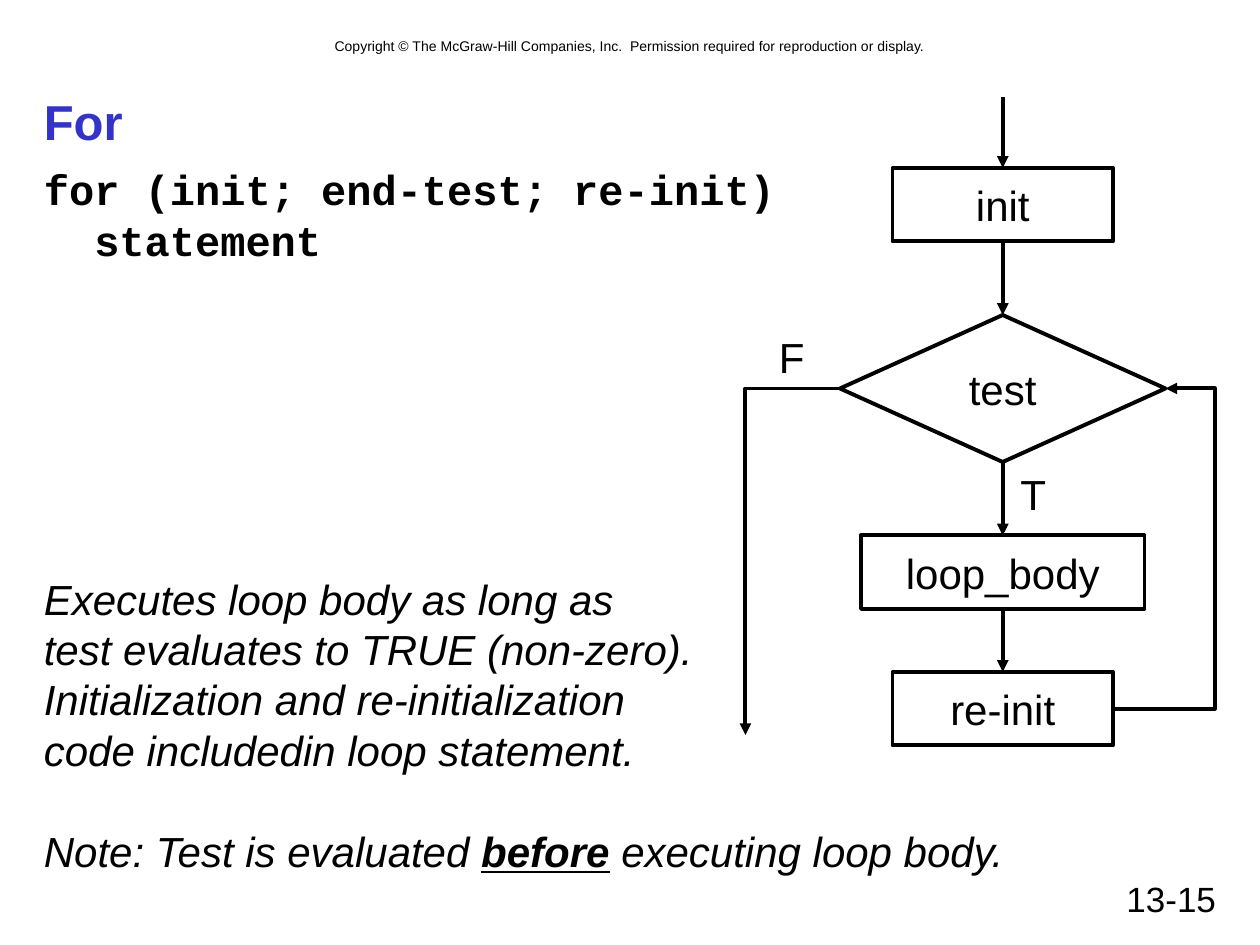
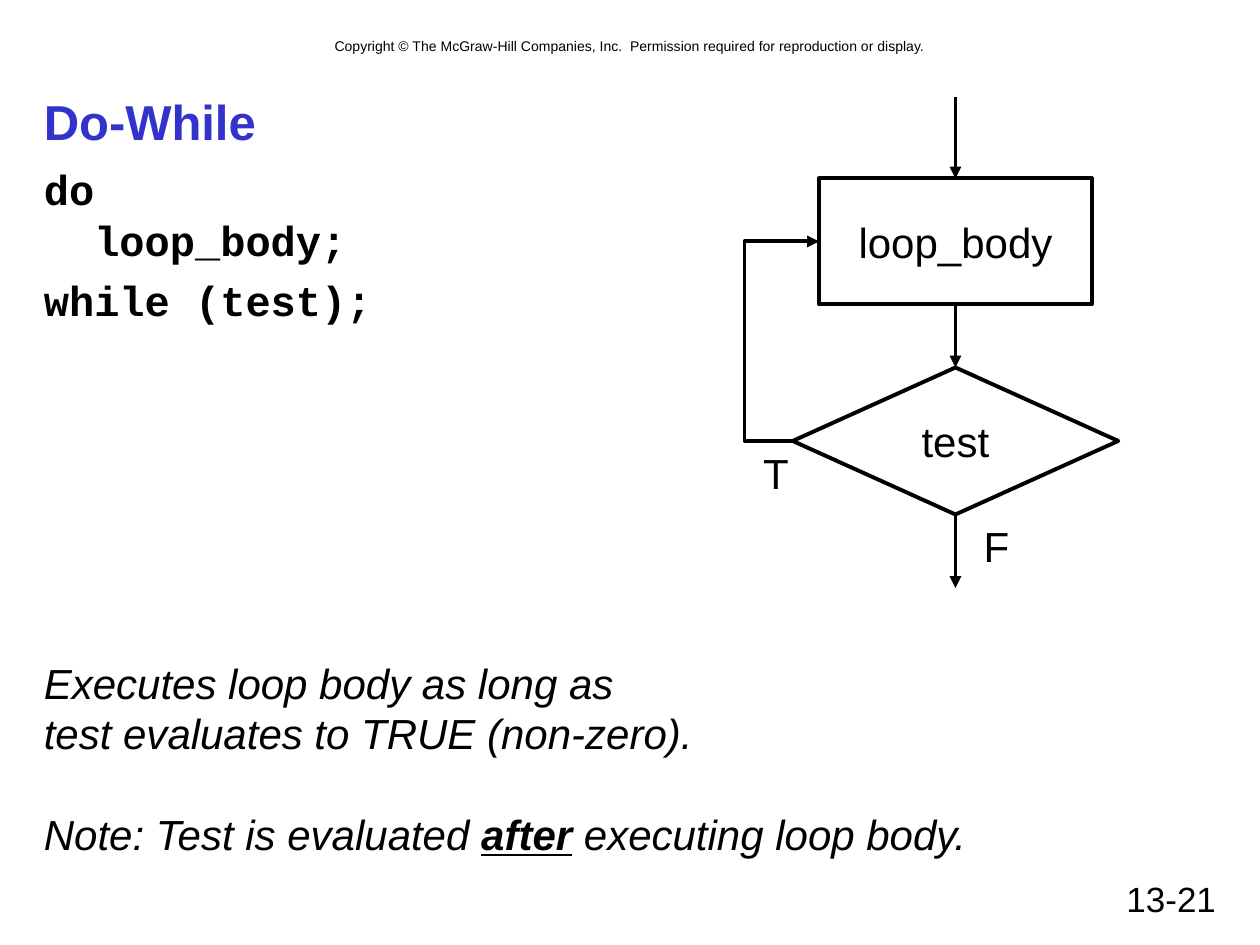
from lxml import etree
from pptx import Presentation
from pptx import util as u
from pptx.dml.color import RGBColor
from pptx.enum import shapes, text
from pptx.oxml.ns import qn

HUES = {"ink": "000000", "title": "3333CC"}
SANS, MONO = "Arial", "Courier New"
COLS, ROWS = 120, 90
WIDE, HIGH = u.Inches(10), u.Inches(7.5)
TOP, LEFT, BASE, RIGHT = range(4)
LEAD = 1.2
RULE = "Copyright © The McGraw-Hill Companies, Inc.  Permission required for reproduction or display."
LONG = "Executes loop body as long as\vtest evaluates to TRUE (non-zero)."

PAGES = [
    {
        "title": "For", "page": "13-15",
        "code": ["for (init; end-test; re-init)\v  statement"],
        "about": LONG + "\vInitialization and re-initialization\vcode includedin loop statement.",
        "key": "before", "area": (3, 54, 95, 30),
        "mid": 95.5,
        "nodes": {"init": (16, 21, 7), "test": (30, 31, 14),
                  "loop_body": (51, 27, 7), "re-init": (64, 21, 7)},
        "marks": [("F", 73, 31), ("T", 96, 44)],
        "bends": [("re-init", RIGHT, "test", RIGHT, 115.7)],
        "exit": ("test", LEFT, 71, 70),
    },
    {
        "title": "Do-While", "page": "13-21",
        "code": ["do\v  loop_body;", "while (test);"],
        "about": LONG,
        "key": "after", "area": (3, 62, 91, 20.4),
        "mid": 91,
        "nodes": {"loop_body": (17, 26, 12), "test": (35, 31, 14)},
        "marks": [("T", 71.5, 42), ("F", 92.5, 49)],
        "bends": [("test", LEFT, "loop_body", LEFT, 70.9)],
        "exit": ("test", BASE, 91, 56),
    },
]


def col(n):
    return round(WIDE * n / COLS)


def row(n):
    return round(HIGH * n / ROWS)


def area(x, y, w, h):
    return col(x), row(y), col(w), row(h)


def ink(hue):
    return RGBColor.from_string(HUES[hue])


def style(frame, size, face=SANS, hue="ink", bold=False, slant=False,
          align=text.PP_ALIGN.LEFT, gap=0):
    for i, para in enumerate(frame.paragraphs):
        para.alignment = align
        para.line_spacing = u.Pt(size * LEAD)
        para.space_before = u.Pt(gap if i else 0)
        for run in para.runs:
            font = run.font
            font.size, font.name = u.Pt(size), face
            font.bold, font.italic = bold, slant
            font.color.rgb = ink(hue)


def write(slide, words, place, size, wrap=True, middle=False, **look):
    frame = slide.shapes.add_textbox(*area(*place)).text_frame
    frame.word_wrap = wrap
    if middle:
        frame.vertical_anchor = text.MSO_ANCHOR.MIDDLE
    frame.text = words
    style(frame, size, **look)
    return frame


def node(slide, name, mid, y, w, h):
    kinds = shapes.MSO_SHAPE
    kind = kinds.DIAMOND if name == "test" else kinds.RECTANGLE
    shape = slide.shapes.add_shape(kind, *area(mid - w / 2, y, w, h))
    shape.shadow.inherit = False
    shape.fill.background()
    shape.line.color.rgb = ink("ink")
    shape.line.width = u.Pt(2.25)
    frame = shape.text_frame
    frame.word_wrap = False
    frame.vertical_anchor = text.MSO_ANCHOR.MIDDLE
    frame.text = name
    style(frame, 24, align=text.PP_ALIGN.CENTER)
    return shape


def arrow(slide, start, end, bent=False):
    """Join two ends, each a (shape, site) pair or a (column, row) point."""
    kinds = shapes.MSO_CONNECTOR
    spots = [(0, 0) if hasattr(a, "shape_type") else (col(a), row(b))
             for a, b in (start, end)]
    line = slide.shapes.add_connector(
        kinds.ELBOW if bent else kinds.STRAIGHT, *spots[0], *spots[1])
    for (part, site), join in ((start, line.begin_connect), (end, line.end_connect)):
        if hasattr(part, "shape_type"):
            join(part, site)
    line.line.color.rgb = ink("ink")
    line.line.width = u.Pt(2.25)
    props = line.line._get_or_add_ln()
    etree.SubElement(props, qn("a:tailEnd"), type="triangle")
    etree.SubElement(line._element.spPr, qn("a:effectLst"))
    return line


def bend(line, x):
    share = (col(x) - line.begin_x) / (line.end_x - line.begin_x)
    guides = line._element.spPr.find(qn("a:prstGeom")).find(qn("a:avLst"))
    etree.SubElement(guides, qn("a:gd"), name="adj1", fmla=f"val {round(share * 100000)}")


def chart(slide, page):
    mid = page["mid"]
    parts = {name: node(slide, name, mid, *size) for name, size in page["nodes"].items()}
    chain = list(parts.values())
    arrow(slide, (mid, 9.2), (chain[0], TOP))
    for upper, lower in zip(chain, chain[1:]):
        arrow(slide, (upper, BASE), (lower, TOP))
    for start, out, end, into, x in page["bends"]:
        bend(arrow(slide, (parts[start], out), (parts[end], into), True), x)
    name, site, x, y = page["exit"]
    line = arrow(slide, (parts[name], site), (x, y), site != BASE)
    if site != BASE:
        line._element.spPr.find(qn("a:prstGeom")).set("prst", "bentConnector2")
    for mark, x, y in page["marks"]:
        write(slide, mark, (x, y, 4.8, 6), 24, wrap=False, align=text.PP_ALIGN.CENTER)


def build(deck, page):
    slide = deck.slides.add_slide(deck.slide_layouts[6])
    write(slide, RULE, (8, 3, 104, 2.9), 8, align=text.PP_ALIGN.CENTER)
    write(slide, page["page"], (86, 83, 31, 5), 20, align=text.PP_ALIGN.RIGHT)
    write(slide, page["title"], (3, 8, 114, 7), 28, middle=True, hue="title", bold=True)
    write(slide, "\n".join(page["code"]), (3, 15, 114, 65), 24,
          face=MONO, bold=True, gap=6)
    chart(slide, page)
    frame = write(slide, page["about"], page["area"], 24)
    note = frame.add_paragraph()
    for words in ("Note: Test is evaluated ", page["key"], " executing loop body."):
        note.add_run().text = words
    style(frame, 24, slant=True, gap=24 * LEAD)
    key = note.runs[1].font
    key.bold = key.underline = True


def main():
    deck = Presentation()
    deck.slide_width, deck.slide_height = WIDE, HIGH
    for page in PAGES:
        build(deck, page)
    deck.save("out.pptx")


if __name__ == "__main__":
    main()
